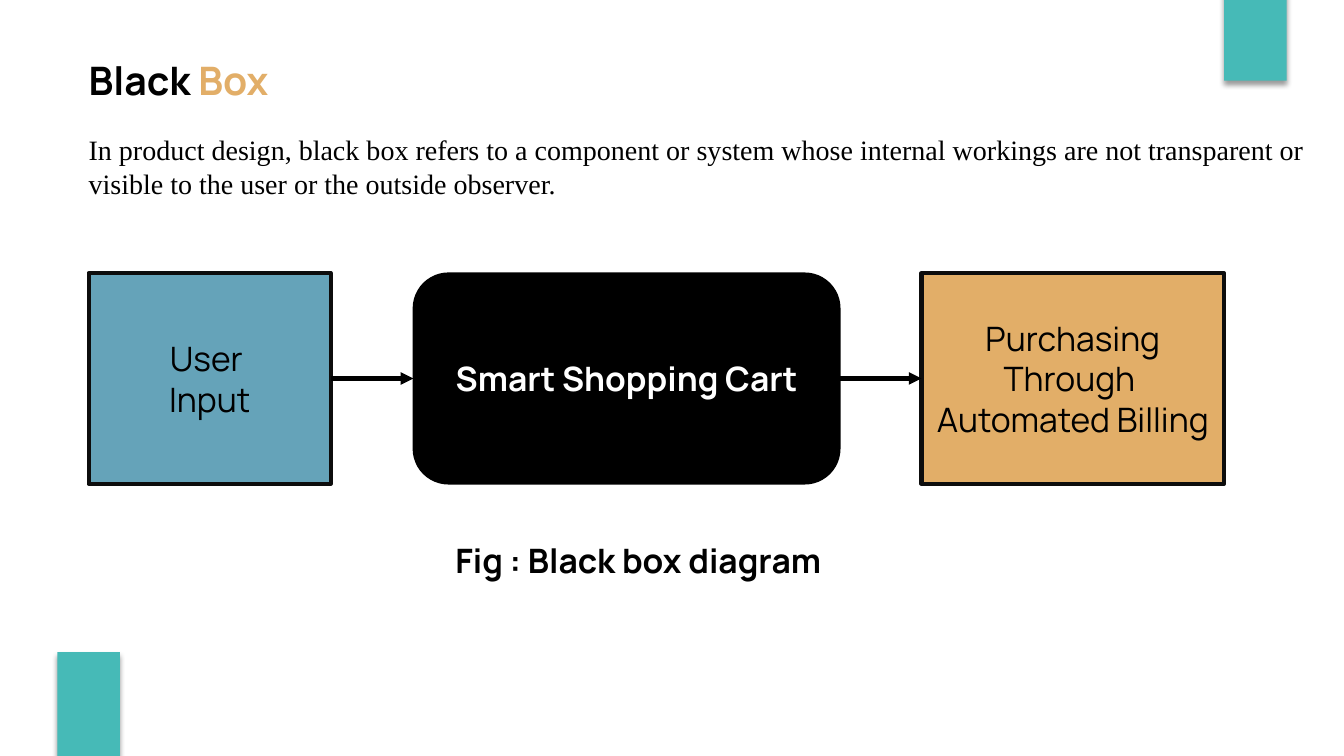
import pptx
import pptx.util
import pptx.dml.color
import pptx.enum.shapes
import pptx.enum.text
import pptx.oxml
import pptx.oxml.ns

Inches = pptx.util.Inches
RGBColor = pptx.dml.color.RGBColor
MSO_SHAPE = pptx.enum.shapes.MSO_SHAPE
PP_ALIGN = pptx.enum.text.PP_ALIGN
MSO_ANCHOR = pptx.enum.text.MSO_ANCHOR

BLACK = RGBColor(0x00, 0x00, 0x00)
WHITE = RGBColor(0xFF, 0xFF, 0xFF)
OUTLINE = RGBColor(0x0D, 0x0D, 0x0D)
BLUE = RGBColor(0x65, 0xA3, 0xB9)
SAND = RGBColor(0xE2, 0xAE, 0x68)
TEAL = RGBColor(0x46, 0xBA, 0xB7)

TITLE = [[("Black ", BLACK), ("Box", SAND)]]
DEFINITION = [[(
    "In product design, black box refers to a component or system whose internal workings "
    "are not transparent or visible to the user or the outside observer.", BLACK)]]
CAPTION = [[("Fig : Black box diagram", BLACK)]]
STAGES = [
    {"lines": ["User ", "Input"], "left": 0.88, "width": 2.4, "kind": MSO_SHAPE.RECTANGLE,
     "fill": BLUE, "outline": OUTLINE, "weight": 3, "color": BLACK, "bold": False},
    {"lines": ["Smart Shopping Cart"], "left": 4.1, "width": 4.23,
     "kind": MSO_SHAPE.ROUNDED_RECTANGLE,
     "fill": BLACK, "outline": BLACK, "weight": 1, "color": WHITE, "bold": True},
    {"lines": ["Purchasing", "Through ", "Automated Billing"], "left": 9.14, "width": 3,
     "kind": MSO_SHAPE.RECTANGLE,
     "fill": SAND, "outline": OUTLINE, "weight": 3, "color": BLACK, "bold": False},
]
STAGE_TOP, STAGE_HEIGHT = 2.71, 2.09
TABS = [(12.14, -0.46), (0.57, 6.47)]
TAB_WIDTH, TAB_HEIGHT = 0.62, 1.26

NAMESPACE = pptx.oxml.ns.nsdecls("a")
TAB_SHADOW = (
    f'<a:effectLst {NAMESPACE}><a:outerShdw blurRad="50800" dist="38100" dir="5400000" '
    'algn="t" rotWithShape="0"><a:srgbClr val="000000"><a:alpha val="40000"/></a:srgbClr>'
    '</a:outerShdw></a:effectLst>')


def write_text(shape, paragraphs, font="Manrope", size=24, bold=False,
               align=PP_ALIGN.LEFT, anchor=MSO_ANCHOR.TOP, wrap=True):
    """Fill a shape with paragraphs of (text, color) runs."""
    frame = shape.text_frame
    frame.word_wrap = wrap
    frame.vertical_anchor = anchor
    for index, runs in enumerate(paragraphs):
        paragraph = frame.add_paragraph() if index else frame.paragraphs[0]
        paragraph.alignment = align
        for text, color in runs:
            run = paragraph.add_run()
            run.text = text
            run.font.name = font
            run.font.size = pptx.util.Pt(size)
            run.font.bold = bold
            run.font.color.rgb = color


def place(shape, left, top, width, height):
    """Set the position and size of a shape in inches."""
    shape.left, shape.top = Inches(left), Inches(top)
    shape.width, shape.height = Inches(width), Inches(height)


def add_stage(slide, stage):
    """Draw one labelled box of the diagram."""
    shape = slide.shapes.add_shape(stage["kind"], Inches(stage["left"]), Inches(STAGE_TOP),
                                   Inches(stage["width"]), Inches(STAGE_HEIGHT))
    shape.shadow.inherit = False
    shape.fill.solid()
    shape.fill.fore_color.rgb = stage["fill"]
    shape.line.color.rgb = stage["outline"]
    shape.line.width = pptx.util.Pt(stage["weight"])
    write_text(shape, [[(line, stage["color"])] for line in stage["lines"]],
               bold=stage["bold"], align=PP_ALIGN.CENTER, anchor=MSO_ANCHOR.MIDDLE)
    return shape


def add_arrow(slide, source, target):
    """Join the right side of one box to the left side of the next."""
    arrow = slide.shapes.add_connector(pptx.enum.shapes.MSO_CONNECTOR.STRAIGHT, 0, 0, 0, 0)
    arrow.begin_connect(source, 3)
    arrow.end_connect(target, 1)
    arrow.line.color.rgb = BLACK
    arrow.line.width = pptx.util.Pt(3)
    arrow.line._get_or_add_ln().append(
        pptx.oxml.parse_xml(f'<a:tailEnd {NAMESPACE} type="triangle"/>'))
    arrow._element.spPr.append(pptx.oxml.parse_xml(f"<a:effectLst {NAMESPACE}/>"))


def add_tab(slide, left, top):
    """Draw one teal tab with a soft shadow at the slide edge."""
    tab = slide.shapes.add_shape(MSO_SHAPE.RECTANGLE, Inches(left), Inches(top),
                                 Inches(TAB_WIDTH), Inches(TAB_HEIGHT))
    tab.fill.solid()
    tab.fill.fore_color.rgb = TEAL
    tab.line.fill.background()
    tab._element.spPr.append(pptx.oxml.parse_xml(TAB_SHADOW))


def main():
    """Build the black box slide and save it."""
    presentation = pptx.Presentation()
    presentation.slide_width = Inches(13.33)
    presentation.slide_height = Inches(7.5)
    slide = presentation.slides.add_slide(presentation.slide_layouts[5])

    title = slide.shapes.title
    place(title, 0.78, 0.51, 2.15, 0.57)
    write_text(title, TITLE, size=28, bold=True, wrap=False)
    title.text_frame.auto_size = pptx.enum.text.MSO_AUTO_SIZE.SHAPE_TO_FIT_TEXT

    boxes = [add_stage(slide, stage) for stage in STAGES]
    for source, target in zip(boxes, boxes[1:]):
        add_arrow(slide, source, target)

    definition = slide.shapes.add_textbox(0, 0, 0, 0)
    place(definition, 0.78, 1.27, 12.39, 0.77)
    write_text(definition, DEFINITION, font="Times New Roman", size=20)

    caption = slide.shapes.add_textbox(0, 0, 0, 0)
    place(caption, 3.93, 5.31, 4.8, 0.5)
    write_text(caption, CAPTION, bold=True, align=PP_ALIGN.CENTER)

    for left, top in TABS:
        add_tab(slide, left, top)
    presentation.save("out.pptx")


if __name__ == "__main__":
    main()
